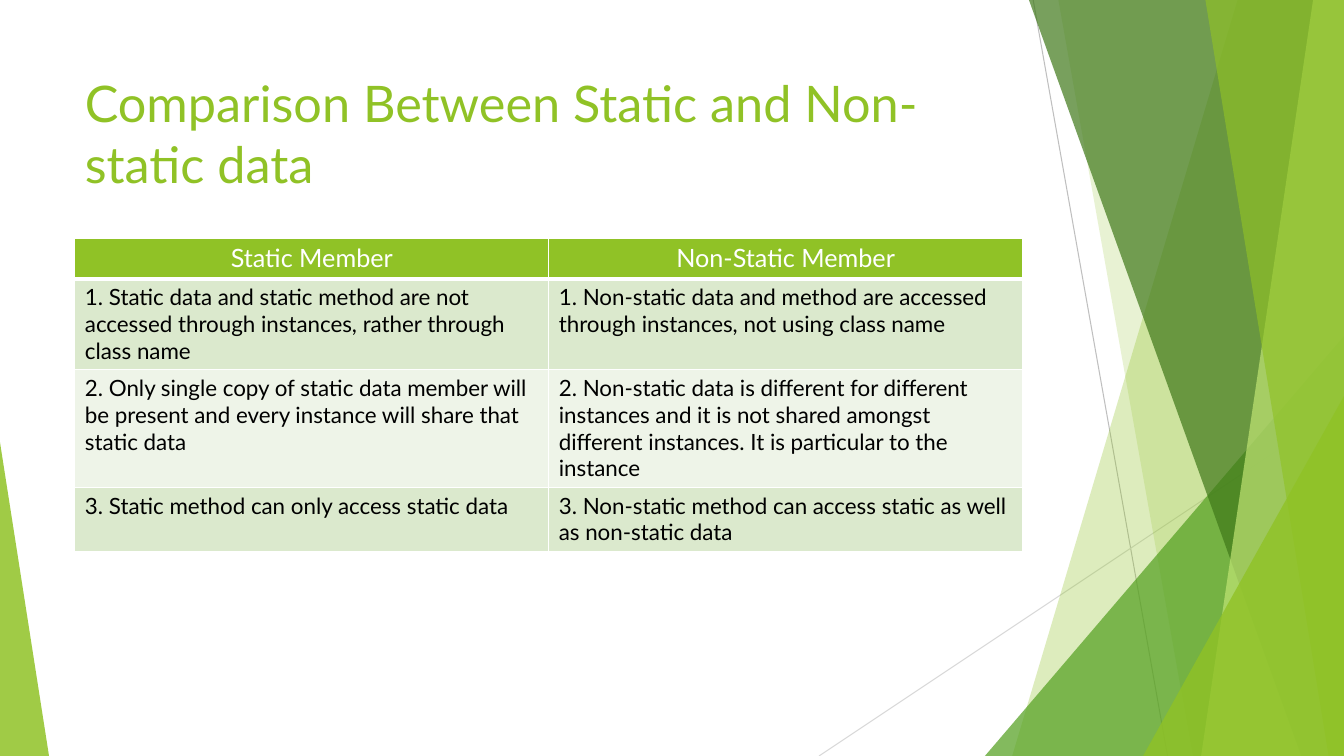
"""Build a slide comparing static and non-static members beside green facets."""
from collections import namedtuple

from lxml.etree import SubElement as add_node
from pptx import Presentation
from pptx.dml.color import RGBColor as Rgb
from pptx.enum.shapes import MSO_CONNECTOR as Connector, MSO_SHAPE as Preset
from pptx.enum.text import MSO_ANCHOR as Anchor, PP_ALIGN as Align
from pptx.oxml.ns import qn
from pptx.util import Pt

Box = namedtuple("Box", "left top width height")

COLORS = {
    "lime": "90C226", "green": "54A021", "forest": "3F7819", "pale": "C0E474",
    "silver": "BFBFBF", "mist": "D9D9D9", "white": "FFFFFF", "black": "000000",
    "band_dark": "DBE9CD", "band_light": "EEF4E8",
}
FORMATS = {
    "title": {"name": "Lato", "size": Pt(36), "bold": False},
    "header": {"name": "Lato", "size": Pt(18), "bold": False},
    "body": {"name": "Lato", "size": Pt(16), "bold": False},
}
MARGINS = {
    "margin_left": Pt(7.2), "margin_right": Pt(7.2),
    "margin_top": Pt(3.6), "margin_bottom": Pt(3.6),
}
TITLE = "Comparison Between Static and Non-static data"
ROWS = [
    ("Static Member", "Non-Static Member"),
    ("1. Static data and static method are not accessed through instances, "
     "rather through class name",
     "1. Non-static data and method are accessed through instances, "
     "not using class name"),
    ("2. Only single copy of static data member will be present and every "
     "instance will share that static data",
     "2. Non-static data is different for different instances and it is not "
     "shared amongst different instances. It is particular to the instance"),
    ("3. Static method can only access static data",
     "3. Non-static method can access static as well as non-static data"),
]
ROW_HEIGHTS = [29.2, 64.8, 84, 46]


def rgb(name):
    """Return the named colour."""
    return Rgb.from_string(COLORS[name])


def set_values(target, values):
    """Set every attribute in values on target."""
    for name, value in values.items():
        setattr(target, name, value)


def write(frame, text, style, color, align=Align.LEFT):
    """Put one formatted paragraph into a text frame."""
    para = frame.paragraphs[0]
    para.alignment = align
    span = para.add_run()
    span.text = text
    set_values(span.font, FORMATS[style])
    span.font.color.rgb = rgb(color)


def paint(shape, color, opacity):
    """Give a shape a translucent fill without line or shadow."""
    shape.shadow.inherit = False
    shape.fill.solid()
    shape.fill.fore_color.rgb = rgb(color)
    shape.line.fill.background()
    tint = next(shape.element.spPr.iter(qn("a:srgbClr")))
    add_node(tint, qn("a:alpha"), val=str(opacity * 1000))


def add_ray(page, box, start, end, color):
    """Draw a thin line between two points of the box."""
    ray = page.shapes.add_connector(
        Connector.STRAIGHT, Pt(box.left + start[0]), Pt(box.top + start[1]),
        Pt(box.left + end[0]), Pt(box.top + end[1]))
    ray.line.color.rgb = rgb(color)
    ray.line.width = Pt(0.75)
    add_node(ray.element.spPr, qn("a:effectLst"))


def add_facet(page, box, upper, lower, color, opacity):
    """Fill the box to the right of a slanted edge."""
    right, bottom = box.left + box.width, box.top + box.height
    corners = [(right, box.top), (right, bottom), (box.left + lower, bottom)]
    outline = page.shapes.build_freeform(Pt(box.left + upper), Pt(box.top))
    outline.add_line_segments([(Pt(x), Pt(y)) for x, y in corners], close=True)
    paint(outline.convert_to_shape(), color, opacity)


def add_wedge(page, box, apex, color, opacity):
    """Fill the box with a triangle whose apex is at the given share."""
    wedge = page.shapes.add_shape(Preset.ISOSCELES_TRIANGLE, *map(Pt, box))
    wedge.adjustments[0] = apex
    paint(wedge, color, opacity)


def add_corner_wedge(page, box, left, top, color, opacity):
    """Fill the lower right corner of the box with a triangle."""
    corner = Box(box.left + left, box.top + top, box.width - left, box.height - top)
    add_wedge(page, corner, 1, color, opacity)


def add_facets(page, box):
    """Layer the rays, facets and wedges along the right side."""
    add_ray(page, box, (153, 0), (249, box.height), "silver")
    add_ray(page, box, (box.width, 290), (0, box.height), "mist")
    layers = [
        (add_facet, 299, 138, "lime", 30),
        (add_facet, 171, 267, "lime", 20),
        (add_corner_wedge, 118.5, 240, "green", 72),
        (add_facet, 150, 344.5, "forest", 70),
        (add_facet, 353, 273, "pale", 70),
        (add_facet, 276, 364, "lime", 65),
        (add_corner_wedge, 231.5, 283, "lime", 80),
    ]
    for draw, *values in layers:
        draw(page, box, *values)


def add_title(page, box):
    """Write the slide title at the top of its box."""
    frame = page.shapes.add_textbox(*map(Pt, box)).text_frame
    set_values(frame, {"word_wrap": True, "vertical_anchor": Anchor.TOP, **MARGINS})
    write(frame, TITLE, "title", "lime")


def add_borders(cell, bottom):
    """Outline a table cell in white."""
    props = cell._tc.get_or_add_tcPr()
    for side, width in {"L": 1, "R": 1, "T": 1, "B": bottom}.items():
        edge = add_node(props, qn(f"a:ln{side}"), w=str(Pt(width)))
        add_node(add_node(edge, qn("a:solidFill")), qn("a:srgbClr"), val=COLORS["white"])


def add_comparison(page, box):
    """Build the two-column comparison table."""
    table = page.shapes.add_table(len(ROWS), len(ROWS[0]), *map(Pt, box)).table
    table.horz_banding = False
    for column in table.columns:
        column.width = Pt(box.width / len(ROWS[0]))
    for index, texts in enumerate(ROWS):
        table.rows[index].height = Pt(ROW_HEIGHTS[index])
        if index == 0:
            look, band, bottom = ("header", "white", Align.CENTER), "lime", 3
        else:
            look, bottom = ("body", "black", Align.LEFT), 1
            band = "band_dark" if index % 2 else "band_light"
        for cell, text in zip(table.rows[index].cells, texts):
            set_values(cell, MARGINS)
            add_borders(cell, bottom)
            cell.fill.solid()
            cell.fill.fore_color.rgb = rgb(band)
            write(cell.text_frame, text, *look)


def main():
    """Assemble and save the deck."""
    deck = Presentation()
    set_values(deck, {"slide_width": Pt(960), "slide_height": Pt(540)})
    page = deck.slides.add_slide(deck.slide_layouts[6])
    add_facets(page, Box(585, 0, 375, 540))
    add_wedge(page, Box(0, 316, 35, 224), 0, "lime", 85)
    add_title(page, Box(53.5, 48, 677, 104))
    add_comparison(page, Box(53.5, 170, 677, sum(ROW_HEIGHTS)))
    deck.save("out.pptx")


main()
